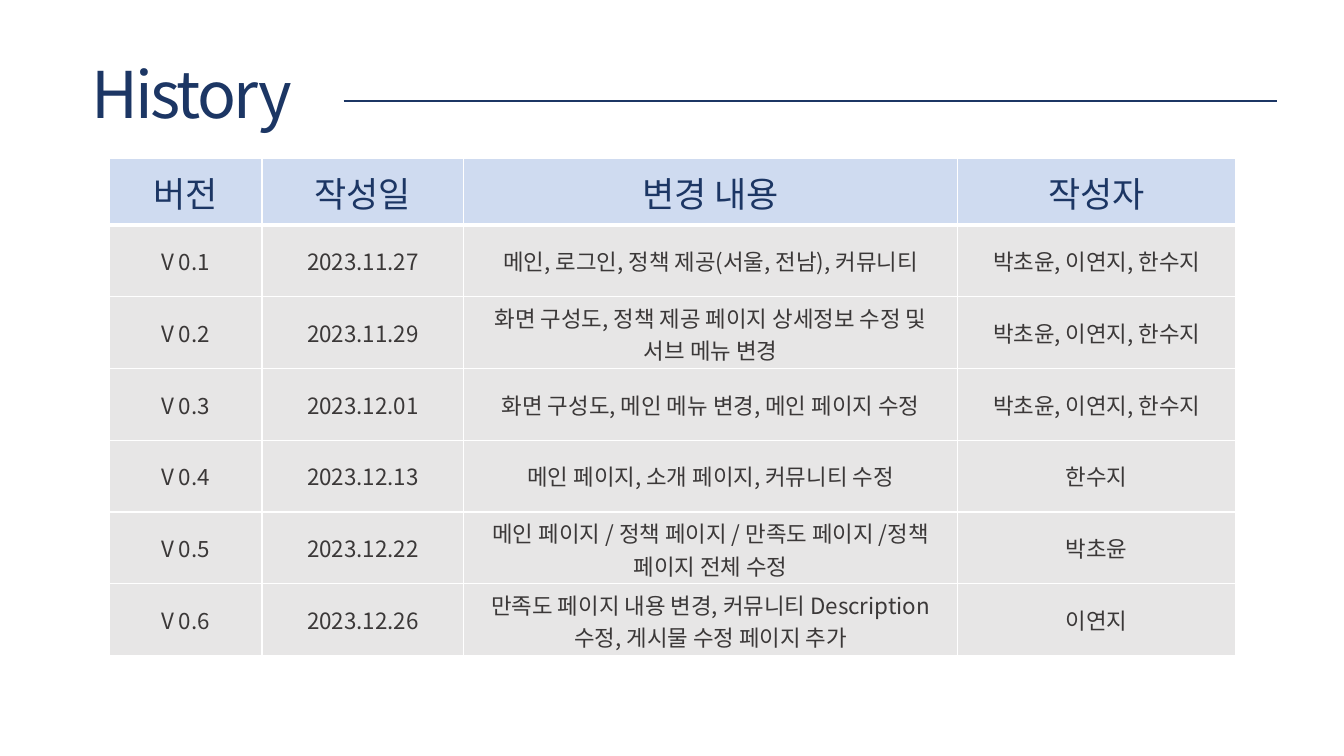
from dataclasses import dataclass

import pptx
import pptx.dml.color
import pptx.enum.shapes
import pptx.enum.text
import pptx.oxml
import pptx.oxml.ns
import pptx.util
from lxml import etree

Pt = pptx.util.Pt
RGB = pptx.dml.color.RGBColor
qn = pptx.oxml.ns.qn


@dataclass(frozen=True)
class Theme:
    font: str = "Noto Sans CJK KR"
    navy: str = "1C3664"
    ink: str = "3B3838"
    header_fill: str = "CFDBF0"
    body_fill: str = "E7E6E6"
    border: str = "FFFFFF"
    title_size: float = 46
    header_size: float = 25
    body_size: float = 16


@dataclass(frozen=True)
class Revision:
    version: str
    date: str
    changes: str
    authors: str


@dataclass(frozen=True)
class CellStyle:
    fill: str
    color: str
    size: float
    top: float
    bottom: float


THEME = Theme()
TEAM = "박초윤, 이연지, 한수지"
HEADER = Revision("버전", "작성일", "변경 내용", "작성자")
REVISIONS = [
    Revision("V 0.1", "2023.11.27", "메인, 로그인, 정책 제공(서울, 전남), 커뮤니티", TEAM),
    Revision("V 0.2", "2023.11.29",
             "화면 구성도, 정책 제공 페이지 상세정보 수정 및 서브 메뉴 변경", TEAM),
    Revision("V 0.3", "2023.12.01", "화면 구성도, 메인 메뉴 변경, 메인 페이지 수정", TEAM),
    Revision("V 0.4", "2023.12.13", "메인 페이지, 소개 페이지, 커뮤니티 수정", "한수지"),
    Revision("V 0.5", "2023.12.22",
             "메인 페이지 / 정책 페이지 / 만족도 페이지 /정책 페이지 전체 수정", "박초윤"),
    Revision("V 0.6", "2023.12.26",
             "만족도 페이지 내용 변경, 커뮤니티 Description 수정, 게시물 수정 페이지 추가", "이연지"),
]
COLUMN_WIDTHS = [109.4, 144, 352.8, 198.8]
HEADER_HEIGHT, ROW_HEIGHT = 47.5, 51.25
RULE_WIDTH, HEADER_RULE_WIDTH = 1, 3


def add_run(paragraph, text: str, size: float, color: str):
    run = paragraph.add_run()
    run.text = text
    run.font.size = Pt(size)
    run.font.bold = False
    run.font.color.rgb = RGB.from_string(color)
    run.font.name = THEME.font
    east_asian = etree.SubElement(run.font._element, qn("a:ea"))
    east_asian.set("typeface", THEME.font)
    return run


def add_border(cell, side: str, width: float) -> None:
    line = etree.SubElement(cell._tc.get_or_add_tcPr(), qn(f"a:ln{side}"), w=str(Pt(width)))
    fill = etree.SubElement(line, qn("a:solidFill"))
    etree.SubElement(fill, qn("a:srgbClr"), val=THEME.border)


def fill_cell(cell, text: str, style: CellStyle) -> None:
    widths = {"L": RULE_WIDTH, "R": RULE_WIDTH, "T": style.top, "B": style.bottom}
    for side, width in widths.items():
        add_border(cell, side, width)
    cell.fill.solid()
    cell.fill.fore_color.rgb = RGB.from_string(style.fill)
    cell.vertical_anchor = pptx.enum.text.MSO_ANCHOR.MIDDLE
    paragraph = cell.text_frame.paragraphs[0]
    paragraph.alignment = pptx.enum.text.PP_ALIGN.CENTER
    add_run(paragraph, text, style.size, style.color)


def add_title(slide) -> None:
    title = slide.shapes.title
    title.left, title.top, title.width, title.height = Pt(58.3), Pt(41), Pt(536.4), Pt(62.6)
    frame = title.text_frame
    frame.word_wrap = True
    frame.auto_size = pptx.enum.text.MSO_AUTO_SIZE.SHAPE_TO_FIT_TEXT
    frame.vertical_anchor = pptx.enum.text.MSO_ANCHOR.TOP
    paragraph = frame.paragraphs[0]
    paragraph.alignment = pptx.enum.text.PP_ALIGN.LEFT
    paragraph.line_spacing = 0.9
    run = add_run(paragraph, "History", THEME.title_size, THEME.navy)
    run.font._element.set("spc", "-190")


def add_title_rule(slide) -> None:
    rule = slide.shapes.add_connector(
        pptx.enum.shapes.MSO_CONNECTOR.STRAIGHT, Pt(245.5), Pt(72), Pt(912.2), Pt(72))
    rule.line.color.rgb = RGB.from_string(THEME.navy)
    rule.line.width = Pt(1.5)
    etree.SubElement(rule._element.spPr, qn("a:effectLst"))


def add_history_table(slide) -> None:
    height = HEADER_HEIGHT + ROW_HEIGHT * len(REVISIONS)
    history = slide.shapes.add_table(
        len(REVISIONS) + 1, len(COLUMN_WIDTHS),
        Pt(77.8), Pt(113.3), Pt(sum(COLUMN_WIDTHS)), Pt(height)).table
    history.horz_banding = False
    for column, width in zip(history.columns, COLUMN_WIDTHS):
        column.width = Pt(width)

    for index, revision in enumerate([HEADER, *REVISIONS]):
        if index == 0:
            style = CellStyle(THEME.header_fill, THEME.navy, THEME.header_size,
                              RULE_WIDTH, HEADER_RULE_WIDTH)
        else:
            top = HEADER_RULE_WIDTH if index == 1 else RULE_WIDTH
            style = CellStyle(THEME.body_fill, THEME.ink, THEME.body_size, top, RULE_WIDTH)
        history.rows[index].height = Pt(ROW_HEIGHT if index else HEADER_HEIGHT)
        texts = (revision.version, revision.date, revision.changes, revision.authors)
        for cell, text in zip(history.rows[index].cells, texts):
            fill_cell(cell, text, style)


def main() -> None:
    deck = pptx.Presentation()
    deck.slide_width, deck.slide_height = Pt(960), Pt(540)
    slide = deck.slides.add_slide(deck.slide_layouts[5])  # title only
    add_history_table(slide)
    add_title(slide)
    add_title_rule(slide)
    deck.save("out.pptx")


if __name__ == "__main__":
    main()
